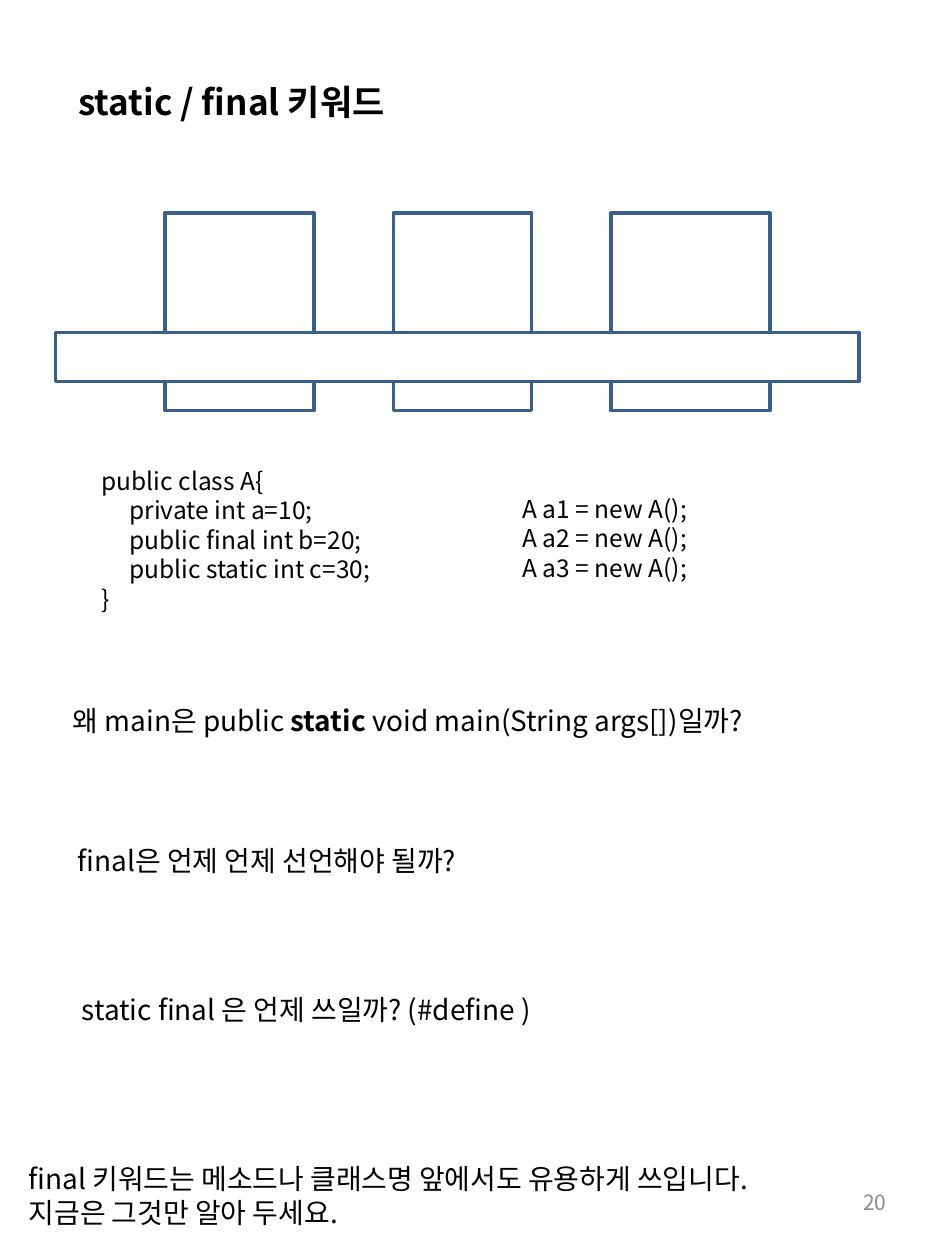
import pptx
import pptx.util
import pptx.dml.color
import pptx.enum.shapes
import pptx.enum.text
import pptx.oxml.ns
import lxml.etree

Cm = pptx.util.Cm
Pt = pptx.util.Pt
BLACK = pptx.dml.color.RGBColor(0x00, 0x00, 0x00)
WHITE = pptx.dml.color.RGBColor(0xFF, 0xFF, 0xFF)
BLUE = pptx.dml.color.RGBColor(0x3A, 0x5F, 0x8C)
GREY = pptx.dml.color.RGBColor(0x8C, 0x8C, 0x8C)
FACE = "Noto Sans CJK KR"
LEFT = pptx.enum.text.PP_ALIGN.LEFT
RIGHT = pptx.enum.text.PP_ALIGN.RIGHT
TOP = pptx.enum.text.MSO_ANCHOR.TOP
MIDDLE = pptx.enum.text.MSO_ANCHOR.MIDDLE


def style(para, size, color=BLACK, bold=False, align=LEFT):
    """Set the font, line pitch and alignment of a paragraph."""
    para.alignment = align
    para.line_spacing = Pt(size * 1.2)
    font = para.font
    font.size, font.bold, font.name = Pt(size), bold, FACE
    font.color.rgb = color
    props = para._p.pPr.find(pptx.oxml.ns.qn("a:defRPr"))
    lxml.etree.SubElement(props, pptx.oxml.ns.qn("a:ea")).set("typeface", FACE)


def write(shape, lines, size, anchor=TOP, **look):
    """Fill a shape with styled lines and return its paragraphs."""
    frame = shape.text_frame
    frame.word_wrap = True
    frame.auto_size = pptx.enum.text.MSO_AUTO_SIZE.NONE
    frame.vertical_anchor = anchor
    frame.text = "\n".join(lines)
    for para in frame.paragraphs:
        style(para, size, **look)
    return frame.paragraphs


def note(slide, box, lines, size, **look):
    """Add a text box at the given place in centimetres."""
    shape = slide.shapes.add_textbox(*map(Cm, box))
    return write(shape, lines, size, **look)


def head(slide, box):
    """Place the slide title."""
    title = slide.shapes.title
    title.left, title.top, title.width, title.height = map(Cm, box)
    write(title, ["static / final 키워드"], 20, bold=True)


def frame(slide, box):
    """Add one outlined rectangle."""
    shape = slide.shapes.add_shape(
        pptx.enum.shapes.MSO_SHAPE.RECTANGLE, *map(Cm, box))
    shape.shadow.inherit = False
    shape.fill.background()
    shape.line.color.rgb = BLUE
    shape.line.width = Pt(2)
    return shape


def chart(slide, box):
    """Draw three objects crossed by one shared band."""
    left, top, width, height = box
    for shift, wide in ((2.21, 3), (6.81, 2.79), (11.2, 3.2)):
        frame(slide, (left + shift, top, wide, height))
    band = frame(slide, (left, top + 2.41, width, 0.99))
    band.fill.solid()
    band.fill.fore_color.rgb = WHITE


def code(slide, box):
    """Place the class listing and the lines that use it."""
    left, top, width, height = box
    paras = note(slide, (left, top, 6.3, height), [
        "public class A{", "private int a=10;", "public final int b=20;",
        "public static int c=30;", "}"], 14)
    for para in paras[1:-1]:
        para._p.pPr.set("marL", str(Cm(0.56)))
    calls = [f"A a{num} = new A();" for num in (1, 2, 3)]
    note(slide, (left + 8.48, top + 0.56, width - 8.48, 2.06), calls, 14)


def asks(slide, box):
    """Place the questions and the closing remark."""
    left, top, width, height = box
    para = note(slide, (left + 0.89, top, 14.4, 0.94), [""], 16)[0]
    for text, bold in (("왜 main은 public ", False), ("static", True),
                       (" void main(String args[])일까?", False)):
        run = para.add_run()
        run.text = text
        run.font.bold = bold
    note(slide, (left + 0.99, top + 2.84, 9.14, 0.94),
         ["final은 언제 언제 선언해야 될까?"], 16)
    note(slide, (left + 1.07, top + 5.84, 10.34, 0.94),
         ["static final 은 언제 쓰일까? (#define )"], 16)
    note(slide, (left, top + height - 1.63, width, 1.63),
         ["final 키워드는 메소드나 클래스명 앞에서도 유용하게 쓰입니다.",
          "지금은 그것만 알아 두세요."], 16)


def page(slide, box):
    """Place the page number."""
    note(slide, box, ["20"], 12, anchor=MIDDLE, color=GREY, align=RIGHT)


def main():
    """Build and save the slide."""
    deck = pptx.Presentation()
    deck.slide_width, deck.slide_height = Cm(19.05), Cm(25.4)
    slide = deck.slides.add_slide(deck.slide_layouts[5])
    head(slide, (1.32, 1.5, 7.24, 1.12))
    chart(slide, (1.12, 4.29, 16.2, 3.99))
    code(slide, (1.8, 9.27, 12.57, 3.25))
    asks(slide, (0.33, 14.05, 16.61, 10.87))
    page(slide, (13.67, 23.55, 4.45, 1.35))
    deck.save("out.pptx")


if __name__ == "__main__":
    main()
